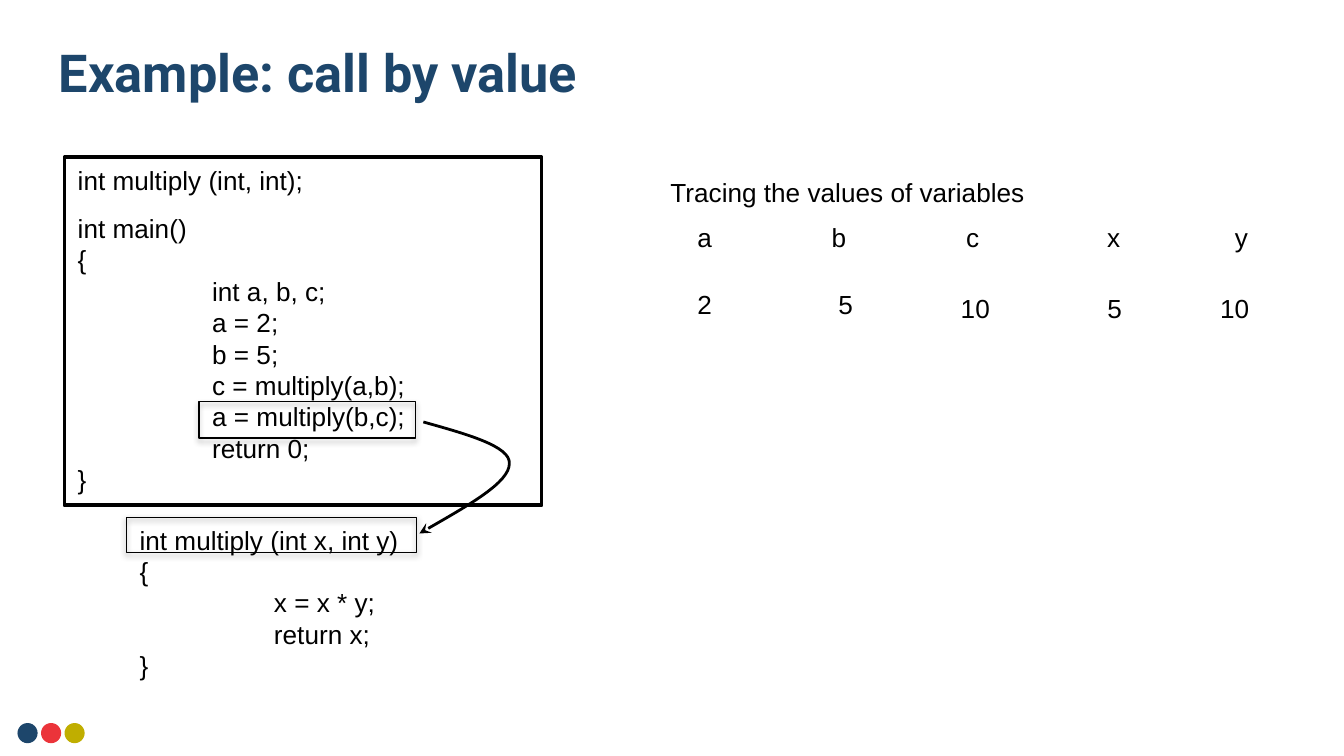
"""Build a slide that traces call by value through a short C program."""
import dataclasses
import typing

import pptx
import pptx.dml.color
import pptx.enum.shapes
import pptx.enum.text
import pptx.oxml
import pptx.oxml.ns
import pptx.util

Inches = pptx.util.Inches
Pt = pptx.util.Pt
Color = pptx.dml.color.RGBColor
Kind = pptx.enum.shapes.MSO_SHAPE
Anchor = pptx.enum.text.MSO_ANCHOR
NAMES = pptx.oxml.ns.nsdecls("a")
tag = pptx.oxml.ns.qn


@dataclasses.dataclass(frozen=True)
class Theme:
    """Colours, fonts and type sizes."""
    ink: Color = Color(0, 0, 0)
    paper: Color = Color(255, 255, 255)
    navy: Color = Color(0x1D, 0x46, 0x6B)
    red: Color = Color(0xEB, 0x34, 0x3A)
    gold: Color = Color(0xC0, 0xAE, 0x00)
    head: str = "Roboto"
    body: str = "Arial"
    large: float = 28
    small: float = 14
    line: float = 16.8
    gap: float = 9.2


class Box(typing.NamedTuple):
    """A place in inches."""
    left: float
    top: float
    width: float
    height: float

    def place(self) -> list:
        """Return the four lengths."""
        return [Inches(size) for size in self]


class Label(typing.NamedTuple):
    """One line of text and its place."""
    text: str
    box: Box
    tabs: tuple = ()


THEME = Theme()
DOTS = (THEME.navy, THEME.red, THEME.gold)
MAIN = ("int multiply (int, int);", "int main()", "{", "\tint a, b, c;",
        "\ta = 2;", "\tb = 5;", "\tc = multiply(a,b);",
        "\ta = multiply(b,c);", "\treturn 0;", "}")
CALLED = ("int multiply (int x, int y)", "{", "\tx = x * y;", "\treturn x;", "}")
LABELS = (
    Label("Tracing the values of variables", Box(4.89, 1.26, 2.86, 0.34)),
    Label("a\tb\tc\tx\ty", Box(5.09, 1.6, 4.34, 0.34), (1, 2, 3.05, 4)),
    Label("2", Box(5.09, 2.1, 0.31, 0.34)),
    Label("5", Box(6.14, 2.1, 0.31, 0.34)),
    Label("10", Box(7.05, 2.13, 0.42, 0.34)),
    Label("5", Box(8.14, 2.13, 0.31, 0.34)),
    Label("10", Box(8.98, 2.13, 0.42, 0.34)),
)
MARKS = (Box(1.48, 2.99, 1.61, 0.27), Box(0.94, 3.85, 2.16, 0.26))
CURVE = ((3.15, 3.14), (3.47, 3.23), (3.8, 3.32), (3.79, 3.45),
         (3.79, 3.59), (3.45, 3.78), (3.12, 3.97))


def write(frame, lines: tuple, tabs: tuple = (), gaps: tuple = (),
          wrap: bool = True) -> None:
    """Fill a text frame with body lines."""
    frame.word_wrap = wrap
    frame.vertical_anchor = Anchor.TOP
    for index, line in enumerate(lines):
        para = frame.paragraphs[0] if index == 0 else frame.add_paragraph()
        para.text = line
        para.alignment = pptx.enum.text.PP_ALIGN.LEFT
        para.line_spacing = Pt(THEME.line)
        if index in gaps:
            para.space_before = Pt(THEME.gap)
        if tabs:
            stops = "".join(f'<a:tab pos="{Inches(tab)}" algn="l"/>' for tab in tabs)
            para._p.get_or_add_pPr().append(
                pptx.oxml.parse_xml(f"<a:tabLst {NAMES}>{stops}</a:tabLst>"))
        para.font.name = THEME.body
        para.font.size = Pt(THEME.small)
        para.font.color.rgb = THEME.ink


def frame_box(slide, box: Box, weight: float):
    """Draw an outlined box without fill or shadow."""
    shape = slide.shapes.add_shape(Kind.RECTANGLE, *box.place())
    shape.shadow.inherit = False
    shape.fill.background()
    shape.line.color.rgb = THEME.ink
    shape.line.width = Pt(weight)
    return shape


def draw_mark(slide, box: Box) -> None:
    """Frame a line of code with a soft shadow."""
    shape = frame_box(slide, box, 0.75)
    shape._element.spPr.find(tag("a:effectLst")).append(pptx.oxml.parse_xml(
        f'<a:outerShdw {NAMES} blurRad="{Pt(3.1)}" dist="{Pt(1.6)}" dir="5400000" '
        f'rotWithShape="0"><a:srgbClr val="{THEME.ink}"><a:alpha val="38000"/>'
        '</a:srgbClr></a:outerShdw>'))


def draw_curve(slide, points: tuple) -> None:
    """Draw a cubic curve that ends in an arrowhead."""
    spots = [(Inches(x), Inches(y)) for x, y in points]
    maker = slide.shapes.build_freeform(*spots[0])
    maker.add_line_segments(spots[1:], close=False)
    shape = maker.convert_to_shape()
    shape.shadow.inherit = False
    shape.fill.background()
    shape.line.color.rgb = THEME.ink
    shape.line.width = Pt(1.5)
    route = next(shape._element.iter(tag("a:path")))
    steps = route.findall(tag("a:lnTo"))
    for start in range(0, len(steps), 3):
        bend = pptx.oxml.parse_xml(f"<a:cubicBezTo {NAMES}/>")
        for step in steps[start:start + 3]:
            bend.append(step[0])
            route.remove(step)
        route.append(bend)
    shape.line._get_or_add_ln().append(
        pptx.oxml.parse_xml(f'<a:tailEnd {NAMES} type="stealth"/>'))


def draw_dots(slide) -> None:
    """Draw the row of dots at the foot."""
    for index, color in enumerate(DOTS):
        box = Box(0.13 + 0.175 * index, 5.38, 0.15, 0.15)
        dot = slide.shapes.add_shape(Kind.OVAL, *box.place())
        dot.shadow.inherit = False
        dot.fill.solid()
        dot.fill.fore_color.rgb = color
        dot.line.fill.background()


def draw_title(slide, text: str) -> None:
    """Write the heading."""
    frame = slide.shapes.add_textbox(*Box(0.34, 0.1, 7.98, 0.87).place()).text_frame
    frame.word_wrap = True
    frame.vertical_anchor = Anchor.MIDDLE
    frame.margin_top = frame.margin_bottom = Inches(0.1)
    para = frame.paragraphs[0]
    para.text = text
    para.font.name = THEME.head
    para.font.size = Pt(THEME.large)
    para.font.bold = True
    para.font.color.rgb = THEME.navy


def main() -> None:
    """Build and save the deck."""
    deck = pptx.Presentation()
    deck.slide_width = Inches(10)
    deck.slide_height = deck.slide_width * 9 // 16
    slide = deck.slides.add_slide(deck.slide_layouts[6])
    draw_dots(slide)
    draw_title(slide, "Example: call by value")
    panel = frame_box(slide, Box(0.48, 1.17, 3.55, 2.59), 2)
    panel.fill.solid()
    panel.fill.fore_color.rgb = THEME.paper
    write(panel.text_frame, MAIN, tabs=(1,), gaps=(1,))
    called = slide.shapes.add_textbox(*Box(0.94, 3.85, 2.88, 1.28).place())
    write(called.text_frame, CALLED, tabs=(1,))
    for label in LABELS:
        text = slide.shapes.add_textbox(*label.box.place())
        write(text.text_frame, (label.text,), label.tabs, wrap=False)
    for box in MARKS:
        draw_mark(slide, box)
    draw_curve(slide, CURVE)
    deck.save("out.pptx")


if __name__ == "__main__":
    main()
